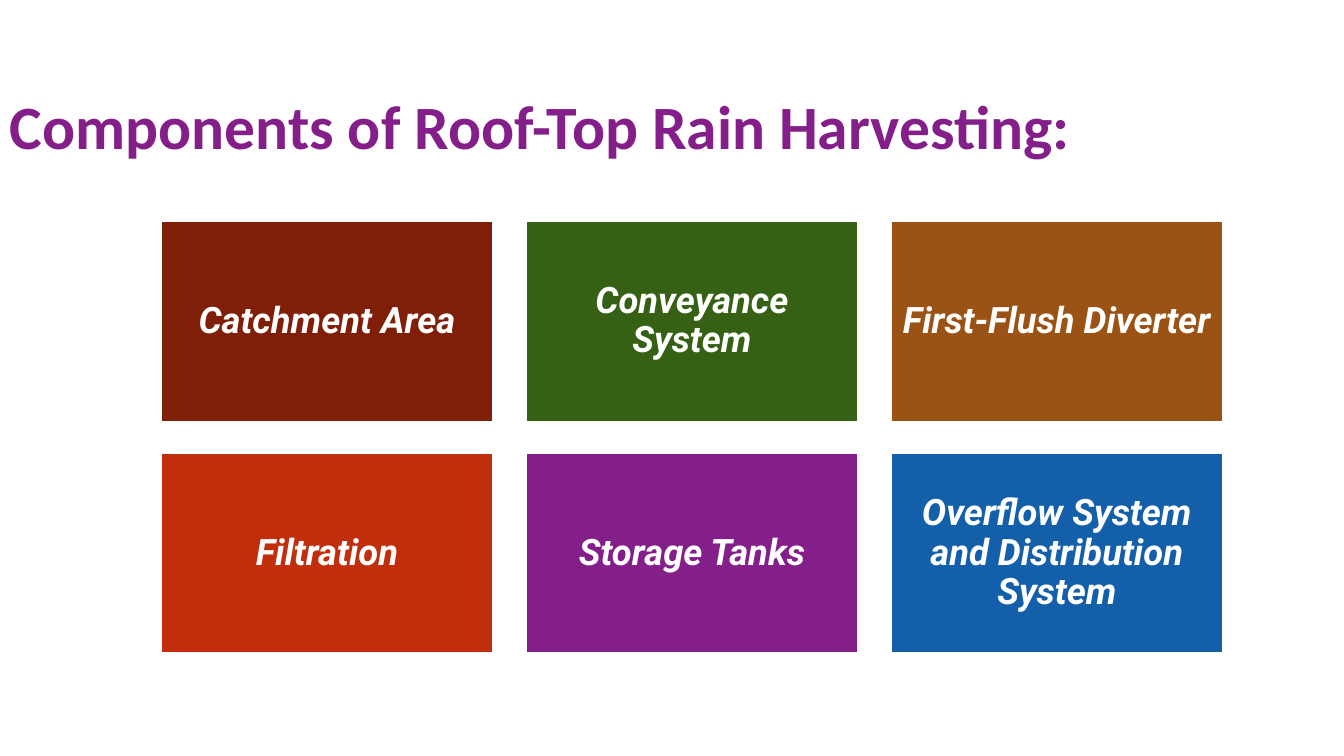
from typing import NamedTuple

from pptx import Presentation
from pptx import util as u
from pptx.dml.color import RGBColor
from pptx.enum import shapes, text

COLORS = {
    "white": "FFFFFF",
    "maroon": "801F08",
    "green": "366013",
    "brown": "9A5315",
    "red": "C02E0C",
    "purple": "841E89",
    "blue": "145FAA",
}


class Component(NamedTuple):
    label: str
    color: str


COMPONENTS = [
    Component("Catchment Area", "maroon"),
    Component("Conveyance System", "green"),
    Component("First-Flush Diverter", "brown"),
    Component("Filtration", "red"),
    Component("Storage Tanks", "purple"),
    Component("Overflow System and Distribution System", "blue"),
]

# Card grid, in points
COLUMNS = 3
LEFT, TOP = 115.2, 158.4
CARD_W, CARD_H = 237, 142.5
STEP_X, STEP_Y = 260.65, 165.6
CARD_INSET = 7.8


def rgb(name: str) -> RGBColor:
    return RGBColor.from_string(COLORS[name])


def write(sp, content: str, font: str, size: float, color: str,
          align: text.PP_ALIGN, anchor: text.MSO_ANCHOR, italic: bool = False) -> None:
    tf = sp.text_frame
    tf.word_wrap = True
    tf.vertical_anchor = anchor
    p = tf.paragraphs[0]
    p.text = content
    p.alignment = align
    p.line_spacing = 0.9
    p.font.name = font
    p.font.size = u.Pt(size)
    p.font.bold = True
    p.font.italic = italic
    p.font.color.rgb = rgb(color)


def add_title(s, content: str) -> None:
    sp = s.shapes.add_textbox(u.Pt(0), u.Pt(24), u.Pt(960), u.Pt(95.75))
    write(sp, content, "Calibri", 44, "purple",
          text.PP_ALIGN.LEFT, text.MSO_ANCHOR.BOTTOM)


def add_card(s, component: Component, left: float, top: float) -> None:
    sp = s.shapes.add_shape(shapes.MSO_SHAPE.RECTANGLE, u.Pt(left), u.Pt(top),
                            u.Pt(CARD_W), u.Pt(CARD_H))
    sp.shadow.inherit = False
    sp.fill.solid()
    sp.fill.fore_color.rgb = rgb(component.color)
    sp.line.color.rgb = rgb("white")
    sp.line.width = u.Pt(1)
    tf = sp.text_frame
    tf.margin_left = tf.margin_right = u.Pt(CARD_INSET)
    tf.margin_top = tf.margin_bottom = u.Pt(CARD_INSET)
    write(sp, component.label, "Roboto", 26, "white",
          text.PP_ALIGN.CENTER, text.MSO_ANCHOR.MIDDLE, italic=True)


def main() -> None:
    prs = Presentation()
    prs.slide_width, prs.slide_height = u.Pt(960), u.Pt(540)
    s = prs.slides.add_slide(prs.slide_layouts[6])

    # Heading
    add_title(s, "Components of Roof-Top Rain Harvesting:")

    # Component cards
    for i, component in enumerate(COMPONENTS):
        row, col = divmod(i, COLUMNS)
        add_card(s, component, LEFT + col * STEP_X, TOP + row * STEP_Y)

    prs.save("out.pptx")


if __name__ == "__main__":
    main()
